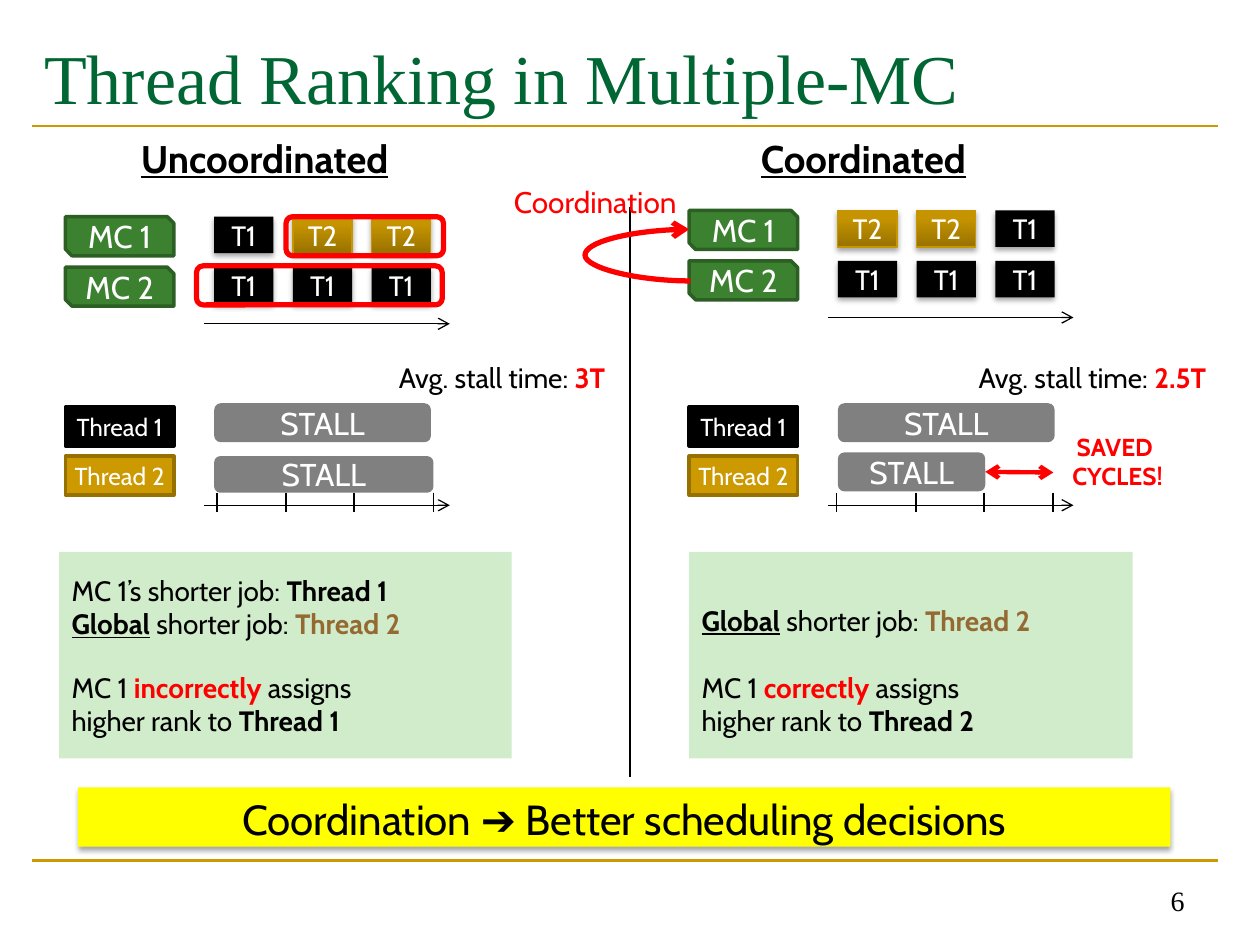
"""Build the slide comparing uncoordinated and coordinated thread ranking."""
import pptx
import pptx.util
import pptx.dml.color
import pptx.enum.shapes
import pptx.enum.text
import pptx.oxml
import pptx.oxml.ns

Inches, Pt = pptx.util.Inches, pptx.util.Pt
SHAPE = pptx.enum.shapes.MSO_SHAPE
CONNECTOR = pptx.enum.shapes.MSO_CONNECTOR
ANCHOR = pptx.enum.text.MSO_ANCHOR
ALIGN = pptx.enum.text.PP_ALIGN

COLORS = {
    "black": "000000", "white": "FFFFFF", "red": "FF0000", "yellow": "FFFF00",
    "title": "006633", "gold": "CC9900", "gold_edge": "977100", "brown": "946A32",
    "green": "3B812F", "green_edge": "2C5F23", "pale": "D0ECCB", "stall": "808080",
    "job_dark": "987200", "job_light": "C69400", "job_edge": "C89600",
}
BOLD, UNDERLINED = {"bold": True}, {"bold": True, "underline": True}
RED, BROWN = {"bold": True, "color": "red"}, {"bold": True, "color": "brown"}

TITLE = "Thread Ranking in Multiple-MC"
CONCLUSION = "Coordination ➔ Better scheduling decisions"
PAGE = "6"
THREADS = [("Thread 1", "black", "black"), ("Thread 2", "gold", "gold_edge")]
PANELS = [
    {
        "left": 0.52, "top": 1.72,
        "heading": ("Uncoordinated", (1.02, 1.02, 2.58, 0.47)),
        "queues": {"MC 1": ["T1", "T2", "T2"], "MC 2": ["T1", "T1", "T1"]},
        "average": ("3T", (2.97, 2.81, 2.03, 0.37)),
        "stalls": [(3.2, 1.72, 0.31), (3.62, 1.74, 0.29)],
        "ticks": [1.72, 2.27, 2.81, 3.44],
        "notes": [
            (0, [("MC 1’s shorter job: ", {}), ("Thread 1", BOLD)]),
            (0, [("Global", UNDERLINED), (" shorter job: ", {}), ("Thread 2", BROWN)]),
            (17, [("MC 1 ", {}), ("incorrectly", RED), (" assigns", {})]),
            (0, [("higher rank to ", {}), ("Thread 1", BOLD)]),
        ],
        "notes_box": (0.47, 4.38, 3.59, 1.64), "notes_margin": 0.05,
    },
    {
        "left": 5.47, "top": 1.67,
        "heading": ("Coordinated", (5.94, 1.02, 2.5, 0.47)),
        "queues": {"MC 1": ["T2", "T2", "T1"], "MC 2": ["T1", "T1", "T1"]},
        "average": ("2.5T", (7.5, 2.81, 2.34, 0.37)),
        "stalls": [(3.2, 1.72, 0.31), (3.59, 1.17, 0.31)],
        "ticks": [6.64, 7.27, 7.81, 8.36],
        "notes": [
            (0, [("Global", UNDERLINED), (" shorter job: ", {}), ("Thread 2", BROWN)]),
            (19, [("MC 1 ", {}), ("correctly", RED), (" assigns", {})]),
            (0, [("higher rank to ", {}), ("Thread 2", BOLD)]),
        ],
        "notes_box": (5.47, 4.38, 3.52, 1.64), "notes_margin": 0.29,
    },
]
BATCHES = [(2.27, 1.72, 1.25, 0.31), (1.56, 2.11, 1.95, 0.31)]

presentation = pptx.Presentation()
presentation.slide_width, presentation.slide_height = Inches(10), Inches(7.5)
slide = presentation.slides.add_slide(presentation.slide_layouts[5])


def rgb(color):
    return pptx.dml.color.RGBColor.from_string(COLORS[color])


def write(shape, paragraphs, size, color="black", align=ALIGN.LEFT, anchor=ANCHOR.TOP,
          font="Cabin", bold=None, underline=None, side=0.1):
    frame = shape.text_frame
    frame.word_wrap, frame.vertical_anchor = True, anchor
    frame.margin_left = frame.margin_right = Inches(side)
    for index, (gap, runs) in enumerate(paragraphs):
        paragraph = frame.add_paragraph() if index else frame.paragraphs[0]
        paragraph.alignment = align
        if gap:
            paragraph.space_before = Pt(gap)
        paragraph.font.name, paragraph.font.size = font, Pt(size)
        paragraph.font.bold, paragraph.font.underline = bold, underline
        paragraph.font.color.rgb = rgb(color)
        for words, style in runs:
            run = paragraph.add_run()
            run.text = words
            run.font.bold, run.font.underline = style.get("bold"), style.get("underline")
            if "color" in style:
                run.font.color.rgb = rgb(style["color"])


def plain(*lines):
    return [(0, [(line, {})]) for line in lines]


def text_box(box, paragraphs, size, **style):
    write(slide.shapes.add_textbox(*map(Inches, box)), paragraphs, size, **style)


def block(kind, box, fill=None, edge=None, width=2, shadow=False):
    shape = slide.shapes.add_shape(kind, *map(Inches, box))
    shape.shadow.inherit = False
    if shadow:
        effects = shape._element.spPr.find(pptx.oxml.ns.qn("a:effectLst"))
        effects.append(pptx.oxml.parse_xml(
            f'<a:outerShdw {pptx.oxml.ns.nsdecls("a")} blurRad="39370" dist="22860" dir="5400000" '
            'rotWithShape="0"><a:srgbClr val="000000"><a:alpha val="35000"/></a:srgbClr></a:outerShdw>'))
    if fill:
        shape.fill.solid()
        shape.fill.fore_color.rgb = rgb(fill)
    else:
        shape.fill.background()
    if edge:
        shape.line.color.rgb, shape.line.width = rgb(edge), Pt(width)
    else:
        shape.line.fill.background()
    return shape


def label(shape, words, size, side=0.0):
    write(shape, plain(words), size, "white", ALIGN.CENTER, ANCHOR.MIDDLE, side=side)


def line(start, end, color="black", width=1.0, ends=(), kind=CONNECTOR.STRAIGHT):
    connector = slide.shapes.add_connector(kind, *map(Inches, start + end))
    connector.line.color.rgb, connector.line.width = rgb(color), Pt(width)
    for end_name in ends:
        connector.line._get_or_add_ln().append(pptx.oxml.parse_xml(
            f'<a:{end_name} {pptx.oxml.ns.nsdecls("a")} type="arrow"/>'))
    connector._element.spPr.append(pptx.oxml.parse_xml(
        f'<a:effectLst {pptx.oxml.ns.nsdecls("a")}/>'))
    return connector


def draw_job(thread, box):
    if thread == "T1":
        job = block(SHAPE.RECTANGLE, box, "black", shadow=True)
    else:
        job = block(SHAPE.RECTANGLE, box, "job_dark", "job_edge", 0.75, True)
        job.fill.gradient()
        job.fill.gradient_angle = 90
        for stop, color, position in zip(job.fill.gradient_stops, ("job_dark", "job_light"), (0, 0.8)):
            stop.color.rgb, stop.position = rgb(color), position
    label(job, thread, 16)


def draw_panel(panel):
    left, top = panel["left"], panel["top"]
    lane = left + 1.18
    heading, heading_box = panel["heading"]
    text_box(heading_box, plain(heading), 22, bold=True, underline=True)
    for row, (controller, jobs) in enumerate(panel["queues"].items()):
        y = top + 0.4 * row
        label(block(SHAPE.SNIP_2_DIAG_RECTANGLE, (left, y, 0.86, 0.31), "green", "green_edge"),
              controller, 18)
        for column, thread in enumerate(jobs):
            draw_job(thread, (lane + 0.625 * column, y, 0.47, 0.29))
    for y in (top + 0.85, 4.01):
        line((lane - 0.08, y), (lane + 1.87, y), width=0.75, ends=["tailEnd"])
    average, average_box = panel["average"]
    text_box(average_box, [(0, [("Avg. stall time: ", {}), (average, RED)])], 16, align=ALIGN.CENTER)
    for row, (thread, fill, edge) in enumerate(THREADS):
        label(block(SHAPE.RECTANGLE, (left, 3.23 + 0.39 * row, 0.86, 0.31), fill, edge), thread, 14)
    for y, width, height in panel["stalls"]:
        stall = block(SHAPE.ROUNDED_RECTANGLE, (lane, y, width, height), "stall")
        label(stall, "STALL", 18, 0.1)
    for x in panel["ticks"]:
        line((x, 3.91), (x, 4.06))
    notes = block(SHAPE.RECTANGLE, panel["notes_box"], "pale")
    write(notes, panel["notes"], 16, anchor=ANCHOR.MIDDLE)
    notes.text_frame.margin_top = Inches(panel["notes_margin"])
    return stall


for y in (1, 6.83):
    line((0.25, y), (9.67, y), "gold", 1.5)
line((5, 1.64), (5, 6.17), width=1.5)

title = slide.shapes.title
title.left, title.top, title.width, title.height = map(Inches, (0.25, 0.17, 9.42, 1.17))
write(title, plain(TITLE), 40, "title", font="Times New Roman")
title.text_frame.margin_top = Inches(0.1)
text_box((7.17, 6.83, 2.33, 0.5), plain(PAGE), 16, align=ALIGN.RIGHT, anchor=ANCHOR.BOTTOM,
         font="Times New Roman")

long_stall, short_stall = map(draw_panel, PANELS)
for batch in BATCHES:
    block(SHAPE.ROUNDED_RECTANGLE, batch, edge="red", width=3)

exchange = line((5.48, 2.23), (5.47, 1.82), "red", 3, ["tailEnd"], CONNECTOR.CURVE)
exchange._element.spPr.prstGeom.get_or_add_avLst().append(pptx.oxml.parse_xml(
    f'<a:gd {pptx.oxml.ns.nsdecls("a")} name="adj1" fmla="val 8500000"/>'))
text_box((3.98, 1.41, 1.55, 0.39), plain("Coordination"), 17, color="red")

saved = line((7.81, 3.75), (8.36, 3.75), "red", 2.5, ["headEnd", "tailEnd"])
saved.begin_connect(short_stall, 3)
text_box((8.36, 3.38, 1.02, 0.57), plain("SAVED ", "CYCLES!"), 14, color="red",
         align=ALIGN.CENTER, bold=True)

banner = block(SHAPE.RECTANGLE, (0.62, 6.25, 8.67, 0.47), "yellow", shadow=True)
write(banner, plain(CONCLUSION), 24, align=ALIGN.CENTER)
presentation.save("out.pptx")
